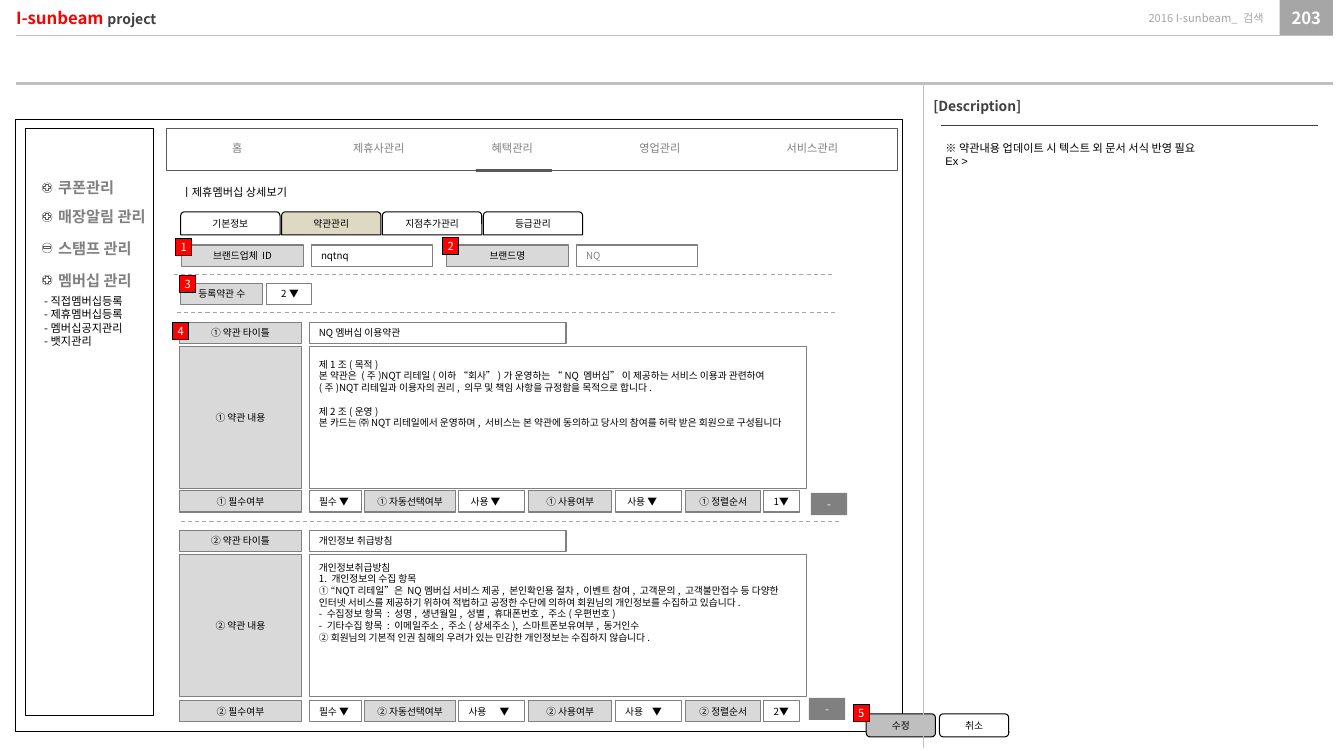
from lxml import etree
from pptx import Presentation
from pptx.dml.color import RGBColor
from pptx.enum.dml import MSO_LINE
from pptx.enum.shapes import MSO_CONNECTOR, MSO_SHAPE
from pptx.enum.text import MSO_ANCHOR, MSO_AUTO_SIZE, PP_ALIGN
from pptx.oxml.ns import qn
from pptx.util import Inches, Pt

RECT, OVAL = MSO_SHAPE.RECTANGLE, MSO_SHAPE.OVAL
TAB, BUTTON = MSO_SHAPE.ROUND_2_SAME_RECTANGLE, MSO_SHAPE.ROUNDED_RECTANGLE
PLUS, MINUS = MSO_SHAPE.MATH_PLUS, MSO_SHAPE.MATH_MINUS
LEFT, CENTER, RIGHT = PP_ALIGN.LEFT, PP_ALIGN.CENTER, PP_ALIGN.RIGHT
TOP, MIDDLE = MSO_ANCHOR.TOP, MSO_ANCHOR.MIDDLE
NO_RESIZE, STRAIGHT, DASH = MSO_AUTO_SIZE.NONE, MSO_CONNECTOR.STRAIGHT, MSO_LINE.DASH
FONT = "Noto Sans CJK KR"
BLACK, WHITE, RED, GRAY = "000000", "FFFFFF", "FF0000", "808080"
color = RGBColor.from_string

deck = Presentation()
deck.slide_width, deck.slide_height = Inches(13.39), Inches(7.48)
page = deck.slides.add_slide(deck.slide_layouts[1])


def write_text(box, text, size=7, ink=BLACK, bold=False, align=LEFT, anchor=MIDDLE,
               side=0.1, above=0, font=FONT, tab=None):
    frame = box.text_frame
    frame.text = text
    settings = {"word_wrap": True, "auto_size": NO_RESIZE, "vertical_anchor": anchor,
                "margin_left": Inches(side), "margin_top": Inches(above), "margin_bottom": 0,
                "margin_right": Inches(min(side, 0.1) if anchor == TOP else 0 if align == LEFT else side)}
    for name, value in settings.items():
        setattr(frame, name, value)
    for para in frame.paragraphs:
        para.alignment, para.space_before = align, Pt(0)
        if tab:
            tab_list = etree.SubElement(para._p.get_or_add_pPr(), qn("a:tabLst"))
            etree.SubElement(tab_list, qn("a:tab"), pos=str(Inches(tab)), algn="l")
        for span in para.runs:
            for name, value in {"size": Pt(size), "bold": bold, "name": font}.items():
                setattr(span.font, name, value)
            span.font.color.rgb = color(ink)
    return box


def add_box(kind, left, top, width, height, fill=None, edge=None, weight=0.75, text="", **style):
    place = [Inches(value) for value in (left, top, width, height)]
    if kind is None:
        box = page.shapes.add_textbox(*place)
    else:
        box = page.shapes.add_shape(kind, *place)
        box.shadow.inherit = False
        if fill:
            box.fill.solid()
            box.fill.fore_color.rgb = color(fill)
        else:
            box.fill.background()
        if edge:
            box.line.color.rgb = color(edge)
            box.line.width = Pt(weight)
        else:
            box.line.fill.background()
    return write_text(box, text, **style) if text else box


label = {"fill": "D9D9D9", "edge": GRAY, "align": CENTER, "side": 0.05}
field = {"fill": WHITE, "edge": GRAY}

# Page header
add_box(RECT, 12.75, 0, 0.53, 0.35, "A6A6A6", text="203", size=12, ink=WHITE, bold=True,
        align=CENTER, side=0)
add_box(None, 10.32, 0, 2.27, 0.35, text="2016 I-sunbeam_ 검색", size=8, ink="A6A6A6",
        align=RIGHT, side=0)
project = add_box(None, 0.16, 0, 2.05, 0.35, text="I-sunbeam ", size=12, ink=RED, bold=True, side=0)
span = project.text_frame.paragraphs[0].add_run()
span.text = "project"
for name, value in {"size": Pt(10), "bold": True, "name": FONT}.items():
    setattr(span.font, name, value)
span.font.color.rgb = color("404040")

# Screen frame, sidebar and top menu
add_box(RECT, 0.15, 1.19, 8.84, 6.1, edge=BLACK)
add_box(RECT, 0.25, 1.28, 1.28, 5.85, WHITE, BLACK)
add_box(RECT, 1.66, 1.28, 7.28, 0.42, WHITE, "595959", 0.5)
for left, menu in ((1.83, "홈"), (3.24, "제휴사관리"), (4.57, "혜택관리"), (6.04, "영업관리"),
                   (7.56, "서비스관리")):
    add_box(None, left, 1.36, 1.07, 0.23, text=menu, size=8, ink=GRAY, align=CENTER,
            anchor=TOP, above=0.05)

# Sidebar menu with fold icons
for top, menu, sign in ((1.73, "쿠폰관리", PLUS), (2.02, "매장알림 관리", PLUS),
                        (2.33, "스탬프 관리", MINUS), (2.65, "멤버십 관리", PLUS)):
    add_box(None, 0.48, top, 1.28, 0.28, text=menu, size=10.9, ink=GRAY, bold=True,
            anchor=TOP, above=0.05)
    add_box(OVAL, 0.42, top + 0.09, 0.1, 0.1, WHITE, "595959", 0.25)
    add_box(sign, 0.42, top + 0.09, 0.09, 0.09, None, "595959", 0.25)

# Screen title and submenu list
heading, submenu = page.placeholders
for box, place, text in (
        (heading, (1.71, 1.8, 1.64, 0.23), "ㅣ제휴멤버십 상세보기"),
        (submenu, (0.34, 2.88, 1.43, 0.64),
         "-직접멤버십등록\n-제휴멤버십등록\n-멤버십공지관리\n-뱃지관리")):
    box.left, box.top, box.width, box.height = [Inches(value) for value in place]
    write_text(box, text, size=8, anchor=TOP, above=0.05)
    box.element.getparent().append(box.element)
for para in submenu.text_frame.paragraphs:
    properties = para._p.get_or_add_pPr()
    properties.set("marL", "0")
    properties.set("indent", "0")
    etree.SubElement(properties, qn("a:buNone"))

# Tabs
for index, name in enumerate(("기본정보", "약관관리", "지점추가관리", "등급관리")):
    add_box(TAB, 1.8 + index * 1.005, 2.11, 0.99, 0.23, "DDD9C3" if index == 1 else WHITE, BLACK,
            text=name, align=CENTER, side=0)

# Brand fields and number of terms
for left, name, value, ink in ((1.81, "브랜드업체 ID", "nqtnq", BLACK), (4.45, "브랜드명", "NQ", GRAY)):
    add_box(RECT, left, 2.44, 1.21, 0.21, text=name, **label)
    add_box(RECT, left + 1.29, 2.44, 1.21, 0.21, text=value, ink=ink, **field)
add_box(RECT, 1.8, 2.82, 0.82, 0.21, text="등록약관 수", **label)
add_box(RECT, 2.66, 2.82, 0.44, 0.21, text="2\t▼", side=0.14, tab=0.08, **field)

# Two sets of terms: title, content and options
purpose = """제1조(목적)
본 약관은 (주)NQT리테일(이하 “회사”)가 운영하는 “NQ 멤버십” 이 제공하는 서비스 이용과 관련하여 (주)NQT리테일과 이용자의 권리, 의무 및 책임 사항을 규정함을 목적으로 합니다.
제2조(운영)
본 카드는 ㈜NQT리테일에서 운영하며, 서비스는 본 약관에 동의하고 당사의 참여를 허락 받은 회원으로 구성됩니다"""
privacy = """개인정보취급방침
1. 개인정보의 수집 항목
① “NQT리테일”은 NQ멤버십 서비스 제공, 본인확인용 절차, 이벤트 참여, 고객문의, 고객불만접수 등 다양한 인터넷 서비스를 제공하기 위하여 적법하고 공정한 수단에 의하여 회원님의 개인정보를 수집하고 있습니다.
- 수집정보 항목 : 성명, 생년월일, 성별, 휴대폰번호, 주소(우편번호)
- 기타수집 항목 : 이메일주소, 주소(상세주소), 스마트폰보유여부, 동거인수
② 회원님의 기본적 인권 침해의 우려가 있는 민감한 개인정보는 수집하지 않습니다."""
single = ("사용 ▼", 0.12, None)
terms = (
    ("①", 3.21, 4.89, "NQ멤버십 이용약관", purpose, 0.12, single, single, "1▼"),
    ("②", 5.28, 6.98, "개인정보 취급방침", privacy, 0.07, ("사용\t▼", 0.1, 0.31),
     ("사용\t▼", 0.1, 0.27), "2▼"))
for number, top, option_top, title, content, above, auto, use, order in terms:
    add_box(RECT, 1.79, top, 1.21, 0.21, text=f"{number} 약관 타이틀", **label)
    add_box(RECT, 3.08, top, 2.56, 0.21, text=title, **field)
    add_box(RECT, 1.79, top + 0.24, 1.21, 1.42, text=f"{number} 약관 내용", **label)
    article = add_box(RECT, 3.08, top + 0.24, 4.96, 1.42, text=content, anchor=TOP, above=above, **field)
    if number == "①":
        article.text_frame.paragraphs[2].space_before = Pt(8.4)
    for left, width, name in ((1.79, 1.21, "필수여부"), (3.63, 0.91, "자동선택여부"),
                              (5.27, 0.82, "사용여부"), (6.83, 0.75, "정렬순서")):
        add_box(RECT, left, option_top, width, 0.21, text=f"{number} {name}", **label)
    for left, width, (value, side, tab) in ((3.08, 0.52, ("필수 ▼", 0.1, None)), (4.57, 0.66, auto),
                                            (6.13, 0.66, use), (7.61, 0.36, (order, 0.1, None))):
        add_box(RECT, left, option_top, width, 0.21, text=value, side=side, tab=tab, **field)

# Remove buttons, bottom buttons and numbered markers
for left, top in ((8.08, 4.91), (8.06, 6.95)):
    add_box(RECT, left, top, 0.36, 0.22, GRAY, text="-", size=8, ink=WHITE, align=CENTER)
for left, fill, name in ((8.63, "BFBFBF", "수정"), (9.36, WHITE, "취소")):
    add_box(BUTTON, left, 7.11, 0.69, 0.23, fill, BLACK, text=name, align=CENTER)
markers = ((1.75, 2.38), (4.41, 2.37), (1.79, 2.74), (1.72, 3.21), (8.5, 7.02))
for number, (left, top) in enumerate(markers, 1):
    add_box(RECT, left, top, 0.16, 0.17, RED, BLACK, text=str(number), size=8, ink=WHITE,
            align=CENTER, side=0)

# Description column
add_box(None, 9.2, 0.92, 1.73, 0.27, text="[Description]", size=9.9, ink="404040", bold=True,
        anchor=TOP, above=0.05)
add_box(None, 9.32, 1.36, 3.81, 0.64, text="※ 약관내용 업데이트 시 텍스트 외 문서 서식 반영 필요\nEx >",
        size=8, font="Arial", anchor=TOP, above=0.05)

# Rules and dividers
for x1, y1, x2, y2, ink, weight, dash in (
        (0.16, 0.83, 13.28, 0.83, "BFBFBF", 2.25, None), (0.16, 0.35, 13.28, 0.35, "BFBFBF", 0.25, None),
        (9.38, 1.25, 13.13, 1.25, "404040", 0.5, None), (4.74, 1.7, 5.5, 1.7, "595959", 2.25, None),
        (9.2, 0.85, 9.2, 7.45, "BFBFBF", 0.75, None), (1.73, 2.73, 8.31, 2.73, "A6A6A6", 0.75, DASH),
        (1.76, 3.11, 8.35, 3.11, "A6A6A6", 0.75, DASH), (1.8, 5.19, 8.38, 5.19, "A6A6A6", 0.75, DASH)):
    rule = page.shapes.add_connector(STRAIGHT, *[Inches(value) for value in (x1, y1, x2, y2)])
    rule.line.color.rgb = color(ink)
    rule.line.width = Pt(weight)
    if dash:
        rule.line.dash_style = dash
    etree.SubElement(rule.element.spPr, qn("a:effectLst"))

# Korean typeface for every run
for latin in list(page.element.iter(qn("a:latin"))):
    east_asian = etree.Element(qn("a:ea"), typeface=FONT)
    latin.addnext(east_asian)

deck.save("out.pptx")
